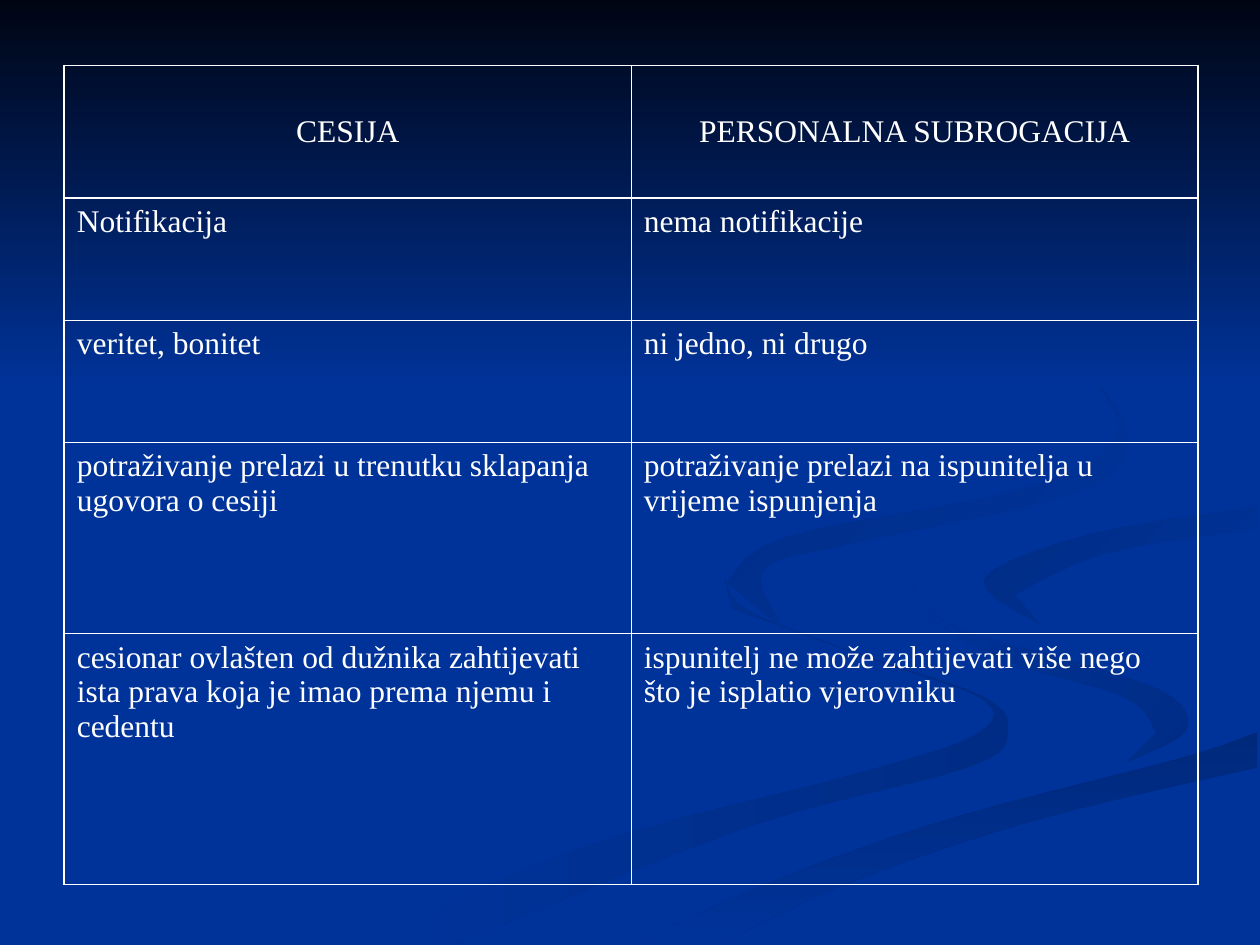
from dataclasses import dataclass

from lxml import etree
from pptx import Presentation
from pptx import util as u
from pptx.dml.color import RGBColor
from pptx.enum import shapes, text
from pptx.oxml.ns import qn


@dataclass(frozen=True)
class Theme:
    blue: str = "003399"
    night: str = "000514"
    shade: str = "002C85"
    deep_shade: str = "00297C"
    white: str = "FFFFFF"
    font: str = "Times New Roman"
    size: float = 18
    outer_line: float = 1.08
    inner_line: float = 0.45


THEME = Theme()

COMPARISON = [
    ("CESIJA", "PERSONALNA SUBROGACIJA"),
    ("Notifikacija", "nema notifikacije"),
    ("veritet, bonitet", "ni jedno, ni drugo"),
    ("potraživanje prelazi u trenutku sklapanja ugovora o cesiji",
     "potraživanje prelazi na ispunitelja u vrijeme ispunjenja"),
    ("cesionar ovlašten od dužnika zahtijevati ista prava koja je imao prema njemu i cedentu",
     "ispunitelj ne može zahtijevati više nego što je isplatio vjerovniku"),
]
ROW_HEIGHTS = [1.05, 0.97, 0.97, 1.52, 1.99]
COLUMN_WIDTH = 4.5
CURVE_STEPS = 5

# Ribbons, back to front: (colours, clockwise angle, one edge, the edge back)
RIBBONS = [
    ((THEME.shade, THEME.blue), 180,
     [(5.75, 4.59), (5.94, 4.85), (6.82, 5.19), (7.81, 5.53), (8, 5.81), (7.69, 6.09),
      (5.94, 6.56), (3.61, 7.49)],
     [(3, 7.49), (4.58, 6.74), (6.84, 6.13), (7.74, 5.83), (7.81, 5.56), (6.97, 5.25),
      (5.81, 4.83)]),
    ((THEME.shade, THEME.blue), 225,
     [(7.24, 4.64), (7.58, 4.98), (8.7, 5.3), (9.3, 5.53), (9.41, 5.81), (8.94, 6.05)],
     [(9.18, 5.81), (8.92, 5.53), (7.97, 5.24), (7.33, 4.88)]),
    ((THEME.deep_shade, THEME.blue), 90,
     [(5.03, 7.49), (6.3, 6.93), (7.64, 6.47), (9.36, 6.02), (9.98, 5.81)],
     [(9.98, 6.09), (8.21, 6.51), (6.7, 7.02), (5.71, 7.49)]),
    ((THEME.blue, THEME.shade), 225,
     [(9.98, 4.02), (8.65, 4.24), (7.81, 4.6), (8.26, 4.96)],
     [(8.05, 4.72), (8.78, 4.39), (9.98, 4.2)]),
    ((THEME.blue, THEME.shade), 225,
     [(7.62, 2.33), (8.43, 2.75), (8.94, 3.44), (8.55, 3.91), (6.83, 4.3), (6.06, 4.52),
      (6.22, 5)],
     [(5.77, 4.62), (6.25, 4.26), (8.18, 3.86), (8.88, 3.41), (8.46, 2.79)]),
]


def smooth(anchors):
    """Pass a Catmull-Rom curve through the anchors."""
    padded = [anchors[0], *anchors, anchors[-1]]
    curve = []
    for before, start, end, after in zip(padded, padded[1:], padded[2:], padded[3:]):
        for step in range(CURVE_STEPS):
            t = step / CURVE_STEPS
            curve.append(tuple(
                b + t * ((c - a) + t * ((2 * a - 5 * b + 4 * c - d)
                                        + t * (3 * b - a - 3 * c + d))) / 2
                for a, b, c, d in zip(before, start, end, after)))
    return curve + [anchors[-1]]


def paint(shape, colours, angle):
    """Fill with a gradient at a clockwise angle."""
    shape.shadow.inherit = False
    shape.line.fill.background()
    shape.fill.gradient()
    shape.fill.gradient_angle = 360 - angle
    for stop, colour in zip(shape.fill.gradient_stops, colours):
        stop.color.rgb = RGBColor.from_string(colour)


def add_ribbon(slide, colours, angle, edge, edge_back):
    outline = smooth(edge) + smooth(edge_back)
    start, *rest = [(u.Inches(x), u.Inches(y)) for x, y in outline]
    builder = slide.shapes.build_freeform(*start)
    builder.add_line_segments(rest, close=True)
    paint(builder.convert_to_shape(), colours, angle)


def add_background(slide):
    slide.background.fill.solid()
    slide.background.fill.fore_color.rgb = RGBColor.from_string(THEME.blue)
    night_band = slide.shapes.add_shape(
        shapes.MSO_SHAPE.RECTANGLE, 0, 0, u.Inches(10), u.Inches(3.08))
    for ribbon in RIBBONS:
        add_ribbon(slide, *ribbon)
    paint(night_band, (THEME.night, THEME.blue), 90)
    # The band covers the tip of the last ribbon
    slide.shapes[-1].element.addnext(night_band.element)


def set_borders(cell, widths):
    """Draw the cell's sides; they must come before its fill."""
    properties = cell._tc.get_or_add_tcPr()
    for position, (side, width) in enumerate(widths.items()):
        border = etree.Element(qn(f"a:ln{side}"), w=str(u.Pt(width)))
        fill = etree.SubElement(border, qn("a:solidFill"))
        etree.SubElement(fill, qn("a:srgbClr"), val=THEME.white)
        properties.insert(position, border)


def fill_cell(cell, wording, is_header):
    cell.text = wording
    cell.fill.background()
    cell.margin_left = cell.margin_right = u.Inches(0.1)
    cell.margin_top = cell.margin_bottom = u.Inches(0.05)
    paragraph = cell.text_frame.paragraphs[0]
    if is_header:
        cell.vertical_anchor = text.MSO_ANCHOR.MIDDLE
        paragraph.alignment = text.PP_ALIGN.CENTER
    paragraph.font.name = THEME.font
    paragraph.font.size = u.Pt(THEME.size)
    paragraph.font.color.rgb = RGBColor.from_string(THEME.white)


def line_weight(is_heavy):
    return THEME.outer_line if is_heavy else THEME.inner_line


def add_comparison(slide):
    last_row, last_column = len(COMPARISON) - 1, len(COMPARISON[0]) - 1
    table = slide.shapes.add_table(
        last_row + 1, last_column + 1, u.Inches(0.51), u.Inches(0.52),
        u.Inches(COLUMN_WIDTH * (last_column + 1)), u.Inches(sum(ROW_HEIGHTS))).table
    table.first_row = table.horz_banding = False
    for column in table.columns:
        column.width = u.Inches(COLUMN_WIDTH)

    for r, (height, wordings) in enumerate(zip(ROW_HEIGHTS, COMPARISON)):
        table.rows[r].height = u.Inches(height)
        for c, wording in enumerate(wordings):
            cell = table.cell(r, c)
            fill_cell(cell, wording, is_header=r == 0)
            # Heavy lines run round the table and under the header
            set_borders(cell, {"L": line_weight(c == 0), "R": line_weight(c == last_column),
                               "T": line_weight(r <= 1), "B": line_weight(r in (0, last_row))})


def main():
    deck = Presentation()
    deck.slide_width, deck.slide_height = u.Inches(10), u.Inches(7.5)
    slide = deck.slides.add_slide(deck.slide_layouts[6])
    add_background(slide)
    add_comparison(slide)
    deck.save("out.pptx")


if __name__ == "__main__":
    main()
